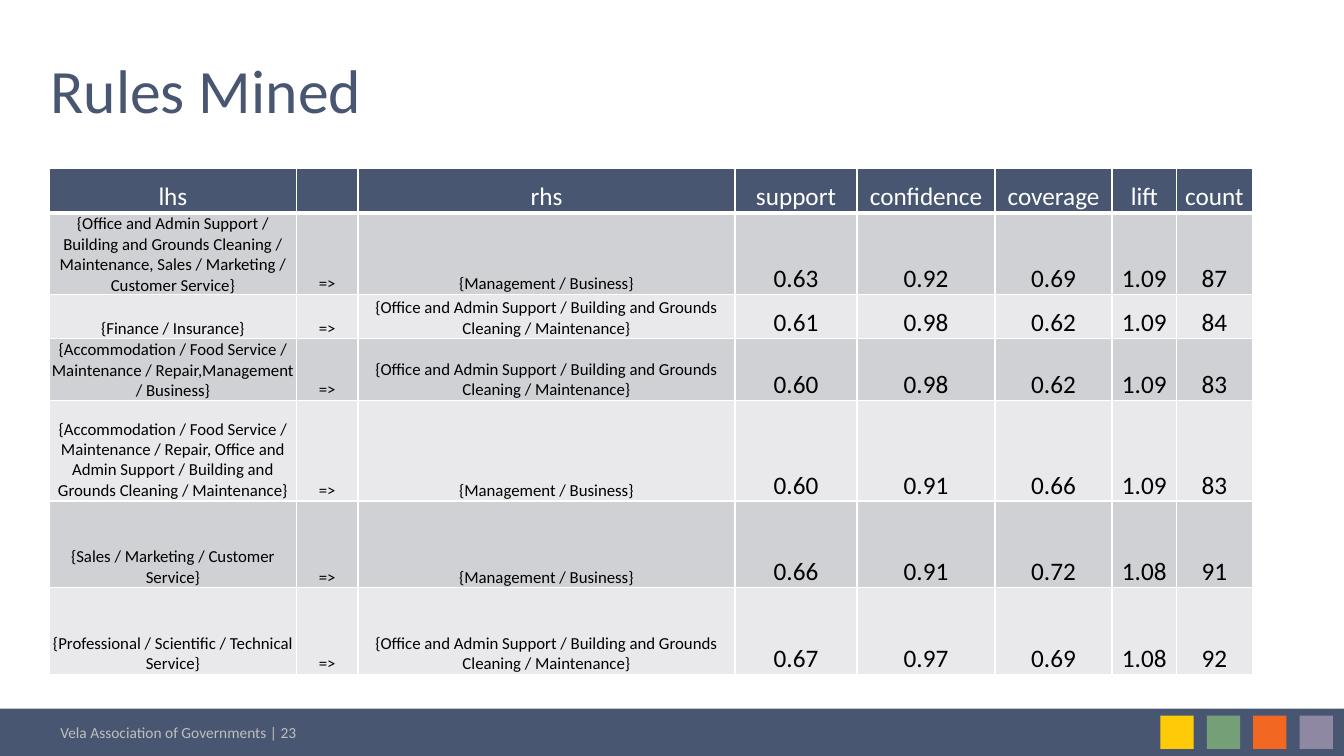
from lxml.etree import SubElement
from pptx import Presentation
from pptx.dml.color import RGBColor
from pptx.enum.shapes import MSO_SHAPE
from pptx.enum.text import MSO_ANCHOR, PP_ALIGN
from pptx.oxml.ns import qn
from pptx.util import Inches, Pt

NAVY = RGBColor(0x49, 0x56, 0x71)
WHITE = RGBColor(0xFF, 0xFF, 0xFF)
BLACK = RGBColor(0x00, 0x00, 0x00)
SILVER = RGBColor(0xBF, 0xBF, 0xBF)
DARK_BAND = RGBColor(0xD0, 0xD1, 0xD5)
LIGHT_BAND = RGBColor(0xE9, 0xE9, 0xEB)
YELLOW = RGBColor(0xFF, 0xCB, 0x08)
GREEN = RGBColor(0x74, 0x9F, 0x77)
ORANGE = RGBColor(0xF2, 0x68, 0x23)
MAUVE = RGBColor(0x8E, 0x88, 0xA3)

MANAGEMENT = "{Management / Business}"
OFFICE = "{Office and Admin Support / Building and Grounds Cleaning / Maintenance}"
HEADINGS = ("lhs", "", "rhs", "support", "confidence", "coverage", "lift", "count")
RULES = (
    ("{Office and Admin Support / Building and Grounds Cleaning / Maintenance, "
     "Sales / Marketing / Customer Service}",
     "=>", MANAGEMENT, "0.63", "0.92", "0.69", "1.09", "87"),
    ("{Finance / Insurance}",
     "=>", OFFICE, "0.61", "0.98", "0.62", "1.09", "84"),
    ("{Accommodation / Food Service / Maintenance / Repair,Management / Business}",
     "=>", OFFICE, "0.60", "0.98", "0.62", "1.09", "83"),
    ("{Accommodation / Food Service / Maintenance / Repair, Office and Admin "
     "Support / Building and Grounds Cleaning / Maintenance}",
     "=>", MANAGEMENT, "0.60", "0.91", "0.66", "1.09", "83"),
    ("{Sales / Marketing / Customer Service}",
     "=>", MANAGEMENT, "0.66", "0.91", "0.72", "1.08", "91"),
    ("{Professional / Scientific / Technical Service}",
     "=>", OFFICE, "0.67", "0.97", "0.69", "1.08", "92"),
)
COLUMN_WIDTHS = (2.45, 0.61, 3.74, 1.21, 1.37, 1.16, 0.64, 0.75)
ROW_HEIGHTS = (0.44, 0.81, 0.44, 0.61, 1, 0.86, 0.86)
FIRST_NUMBER_COLUMN = 3


class SlideBuilder:
    font_name = "Calibri"

    def __init__(self, slide):
        self.slide = slide

    def style(self, paragraph, size, color):
        paragraph.font.name = self.font_name
        paragraph.font.size = Pt(size)
        paragraph.font.color.rgb = color

    def rectangle(self, left, top, width, height, color):
        rectangle = self.slide.shapes.add_shape(
            MSO_SHAPE.RECTANGLE, Inches(left), Inches(top), Inches(width), Inches(height))
        rectangle.shadow.inherit = False
        rectangle.fill.solid()
        rectangle.fill.fore_color.rgb = color
        rectangle.line.fill.background()

    def text(self, left, top, width, height, wording, size, color):
        box = self.slide.shapes.add_textbox(
            Inches(left), Inches(top), Inches(width), Inches(height))
        box.text_frame.word_wrap = True
        box.text_frame.text = wording
        self.style(box.text_frame.paragraphs[0], size, color)

    def title(self, left, top, width, height, wording):
        title = self.slide.shapes.title
        title.left, title.top = Inches(left), Inches(top)
        title.width, title.height = Inches(width), Inches(height)
        frame = title.text_frame
        frame.text = wording
        frame.vertical_anchor = MSO_ANCHOR.MIDDLE
        frame.margin_left = frame.margin_bottom = 0
        frame.margin_top, frame.margin_right = Inches(0.05), Inches(0.1)
        heading = frame.paragraphs[0]
        heading.alignment = PP_ALIGN.LEFT
        heading.line_spacing = Pt(40)
        self.style(heading, 44, NAVY)

    def borders(self, cell, top, bottom):
        properties = cell._tc.get_or_add_tcPr()
        for side, width in (("L", 1), ("R", 1), ("T", top), ("B", bottom)):
            line = SubElement(properties, qn(f"a:ln{side}"), w=str(Pt(width)))
            fill = SubElement(line, qn("a:solidFill"))
            SubElement(fill, qn("a:srgbClr"), val=str(WHITE))

    def cell(self, cell, wording, size, color, fill, top=1, bottom=1):
        cell.margin_left = cell.margin_right = cell.margin_top = Inches(0.01)
        cell.margin_bottom = 0
        cell.vertical_anchor = MSO_ANCHOR.BOTTOM
        cell.text = wording
        paragraph = cell.text_frame.paragraphs[0]
        paragraph.alignment = PP_ALIGN.CENTER
        self.style(paragraph, size, color)
        self.borders(cell, top, bottom)
        cell.fill.solid()
        cell.fill.fore_color.rgb = fill

    def rules_table(self, left, top):
        table = self.slide.shapes.add_table(
            len(ROW_HEIGHTS), len(COLUMN_WIDTHS), Inches(left), Inches(top),
            Inches(sum(COLUMN_WIDTHS)), Inches(sum(ROW_HEIGHTS))).table
        for column, width in zip(table.columns, COLUMN_WIDTHS):
            column.width = Inches(width)
        for row, height in zip(table.rows, ROW_HEIGHTS):
            row.height = Inches(height)
        for c, heading in enumerate(HEADINGS):
            self.cell(table.cell(0, c), heading, 18, WHITE, NAVY, bottom=3)
        for r, rule in enumerate(RULES, start=1):
            band = DARK_BAND if r % 2 else LIGHT_BAND
            for c, value in enumerate(rule):
                size = 18 if c >= FIRST_NUMBER_COLUMN else 12
                self.cell(table.cell(r, c), value, size, BLACK, band, top=3 if r == 1 else 1)


def main():
    presentation = Presentation()
    presentation.slide_width = Inches(13.33)
    presentation.slide_height = Inches(7.5)
    builder = SlideBuilder(presentation.slides.add_slide(presentation.slide_layouts[5]))
    builder.rectangle(0, 7.03, 13.33, 0.47, NAVY)
    for i, color in enumerate((YELLOW, GREEN, ORANGE, MAUVE)):
        builder.rectangle(11.51 + 0.46 * i, 7.1, 0.33, 0.33, color)
    builder.text(0.5, 7.12, 4.87, 0.29, "Vela Association of Governments | 23", 11, SILVER)
    builder.rules_table(0.49, 1.67)
    builder.title(0.5, 0.63, 9.96, 0.63, "Rules Mined")
    presentation.save("out.pptx")


if __name__ == "__main__":
    main()
